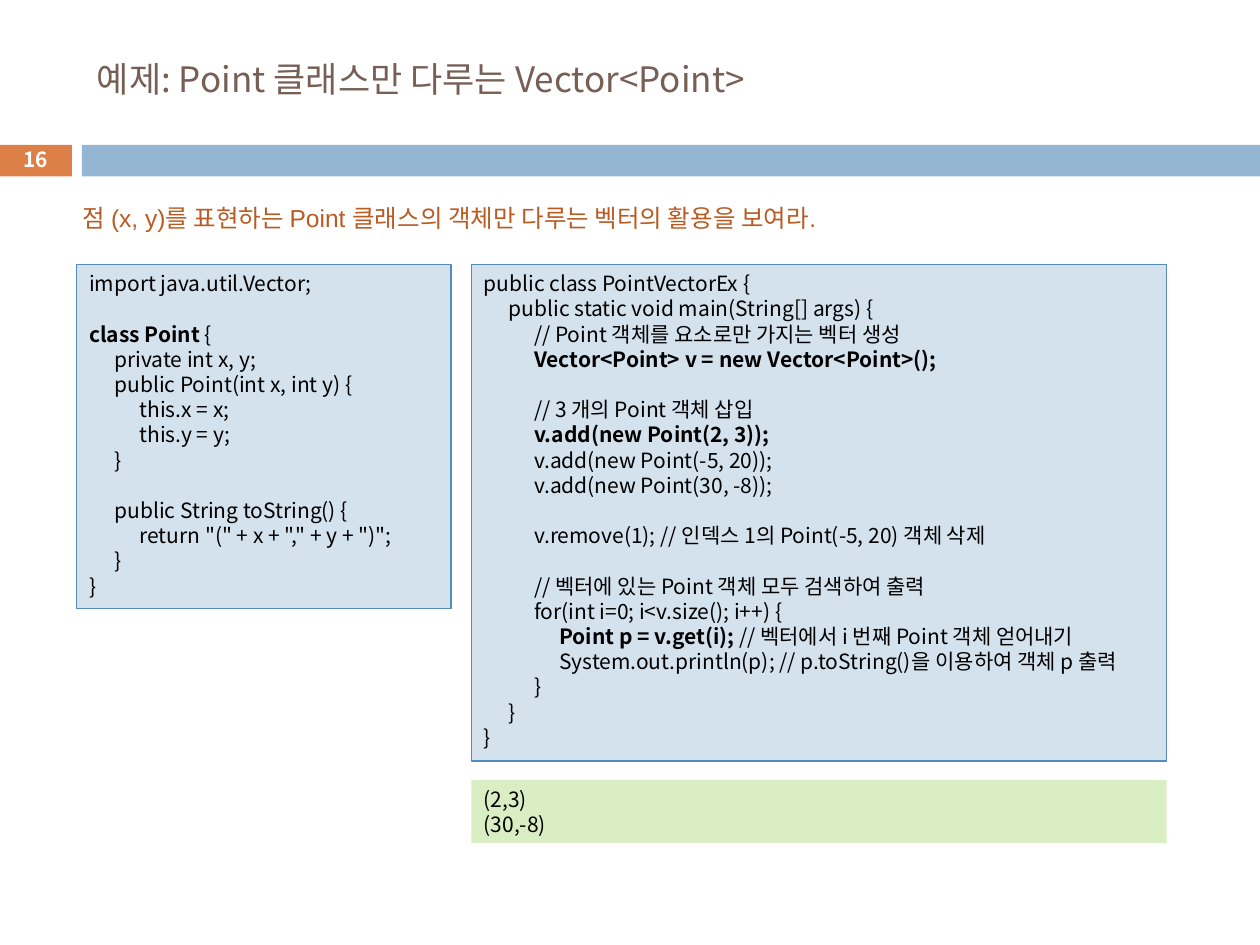
from lxml.etree import SubElement
from pptx import Presentation
from pptx.dml.color import RGBColor
from pptx.enum.shapes import MSO_SHAPE as Shape
from pptx.enum.text import MSO_ANCHOR as Anchor, PP_ALIGN as Align
from pptx.oxml.ns import qn
from pptx.util import Inches, Pt

BLACK = RGBColor(0x00, 0x00, 0x00)
WHITE = RGBColor(0xFF, 0xFF, 0xFF)
ORANGE = RGBColor(0xDD, 0x80, 0x47)
RUST = RGBColor(0xB9, 0x5B, 0x22)
BROWN = RGBColor(0x77, 0x5F, 0x55)
BLUE = RGBColor(0x94, 0xB6, 0xD2)
PALE_BLUE = RGBColor(0xD4, 0xE2, 0xED)
EDGE_BLUE = RGBColor(0x55, 0x8B, 0xB8)
GREEN = RGBColor(0xDA, 0xEE, 0xC4)

POINT_CLASS = """import java.util.Vector;

**class Point **{
\tprivate int x, y;
\tpublic Point(int x, int y) {
\t\tthis.x = x;
\t\tthis.y = y;
\t}

\tpublic String toString() {
\t\treturn "(" + x + "," + y + ")";
\t}
}"""

MAIN_CLASS = """public class PointVectorEx {
\tpublic static void main(String[] args) {
\t\t// Point 객체를 요소로만 가지는 벡터 생성
\t\t**Vector<Point> v = new Vector<Point>();**

\t\t// 3 개의 Point 객체 삽입
\t\t**v.add(new Point(2, 3));**
\t\tv.add(new Point(-5, 20));
\t\tv.add(new Point(30, -8));

\t\tv.remove(1); // 인덱스 1의 Point(-5, 20) 객체 삭제

\t\t// 벡터에 있는 Point 객체 모두 검색하여 출력
\t\tfor(int i=0; i<v.size(); i++) {
\t\t\t**Point p = v.get(i);** // 벡터에서 i 번째 Point 객체 얻어내기
\t\t\tSystem.out.println(p); // p.toString()을 이용하여 객체 p 출력
\t\t}
\t}
}"""

OUTPUT = "(2,3)\n(30,-8)"


class SlideBuilder:
    font = "Noto Sans CJK KR"
    code_size = 12
    code_pitch = Pt(14.4)
    tab_step = 0.2

    def __init__(self, slide):
        self.slide = slide

    def style_run(self, run, size, color, bold=False, font=None):
        run.font.name = font or self.font
        run.font.size = Pt(size)
        run.font.bold = bold
        run.font.color.rgb = color
        east_asian = SubElement(run.font._element, qn("a:ea"))
        east_asian.set("typeface", self.font)

    def bar(self, left, top, width, height, fill, line=None):
        shape = self.slide.shapes.add_shape(
            Shape.RECTANGLE, Inches(left), Inches(top), Inches(width), Inches(height))
        shape.shadow.inherit = False
        shape.fill.solid()
        shape.fill.fore_color.rgb = fill
        if line is None:
            shape.line.fill.background()
        else:
            shape.line.color.rgb = line
            shape.line.width = Pt(0.75)
        return shape

    def label(self, left, top, width, height, text, size, color, bold=False,
              font=None, align=Align.LEFT, anchor=Anchor.MIDDLE):
        box = self.slide.shapes.add_textbox(
            Inches(left), Inches(top), Inches(width), Inches(height))
        frame = box.text_frame
        frame.word_wrap = True
        frame.vertical_anchor = anchor
        frame.text = text
        paragraph = frame.paragraphs[0]
        paragraph.alignment = align
        self.style_run(paragraph.runs[0], size, color, bold, font)

    def code(self, left, top, width, height, text, fill, line=None):
        frame = self.bar(left, top, width, height, fill, line).text_frame
        frame.word_wrap = True
        frame.vertical_anchor = Anchor.TOP
        for index, source_line in enumerate(text.split("\n")):
            paragraph = frame.add_paragraph() if index else frame.paragraphs[0]
            paragraph.alignment = Align.LEFT
            paragraph.line_spacing = self.code_pitch
            paragraph.font.size = Pt(self.code_size)
            self.add_tabs(paragraph)
            for part, words in enumerate(source_line.split("**")):
                if words:
                    run = paragraph.add_run()
                    run.text = words
                    self.style_run(run, self.code_size, BLACK, part % 2 == 1)

    def add_tabs(self, paragraph):
        properties = paragraph._p.get_or_add_pPr()
        tabs = SubElement(properties, qn("a:tabLst"))
        properties.find(qn("a:defRPr")).addprevious(tabs)
        for level in range(1, 4):
            position = Inches(self.tab_step * level)
            SubElement(tabs, qn("a:tab"), pos=str(position), algn="l")


def main():
    presentation = Presentation()
    presentation.slide_width = Inches(10)
    presentation.slide_height = Inches(7.5)
    builder = SlideBuilder(presentation.slides.add_slide(presentation.slide_layouts[6]))

    builder.bar(-0.01, 1.15, 0.58, 0.25, ORANGE)
    builder.bar(0.65, 1.15, 9.35, 0.25, BLUE)
    builder.label(0.67, 0.25, 8.92, 0.74, "예제: Point 클래스만 다루는 Vector<Point>", 20, BROWN)
    builder.label(-0.01, 1.13, 0.58, 0.27, "16", 11.9, WHITE, bold=True, align=Align.CENTER)
    builder.code(0.61, 2.1, 2.97, 2.73, POINT_CLASS, PALE_BLUE, EDGE_BLUE)
    builder.code(3.74, 6.19, 5.52, 0.5, OUTPUT, GREEN)
    builder.code(3.74, 2.1, 5.52, 3.94, MAIN_CLASS, PALE_BLUE, EDGE_BLUE)
    builder.label(0.56, 1.56, 6.64, 0.34,
                  "점 (x, y)를 표현하는 Point 클래스의 객체만 다루는 벡터의 활용을 보여라.",
                  14, RUST, font="Arial", anchor=Anchor.TOP)
    presentation.save("out.pptx")


if __name__ == "__main__":
    main()
